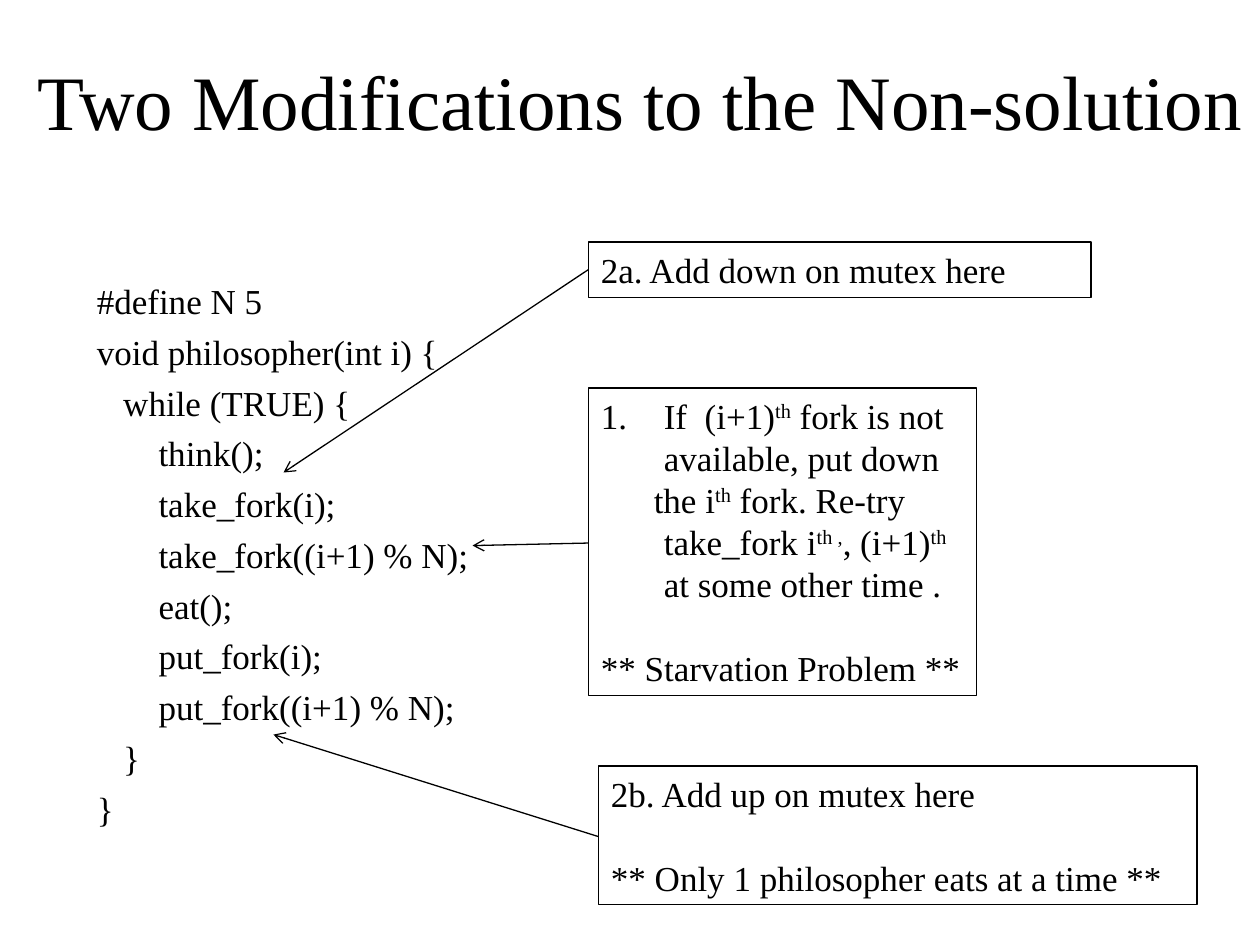
from lxml.etree import SubElement
from pptx import Presentation
from pptx.dml.color import RGBColor
from pptx.enum.shapes import MSO_CONNECTOR, MSO_SHAPE
from pptx.enum.text import MSO_ANCHOR, MSO_AUTO_SIZE, PP_ALIGN
from pptx.oxml.ns import qn
from pptx.util import Inches, Pt

COLORS = {"ink": "000000"}


class Deck:
    font = "Times New Roman"
    size = 20
    ink = RGBColor.from_string(COLORS["ink"])

    def __init__(self, slide):
        self.slide = slide

    def para(self, frame, runs, first, left=0, hang=0, gap=0, size=None):
        """Add one paragraph; a run is (text, raised)."""
        para = frame.paragraphs[0] if first else frame.add_paragraph()
        para.alignment = PP_ALIGN.LEFT
        para.space_before = Pt(gap)
        props = para._p.get_or_add_pPr()
        props.set("marL", str(Inches(left)))
        props.set("indent", str(Inches(hang)))
        for text, raised in runs:
            run = para.add_run()
            run.text = text
            run.font.name = self.font
            run.font.size = Pt(size or self.size)
            run.font.color.rgb = self.ink
            if raised:
                run.font._element.set("baseline", "30000")
        return para

    def text(self, x, y, w, h):
        box = self.slide.shapes.add_textbox(*map(Inches, (x, y, w, h)))
        box.text_frame.word_wrap = True
        return box.text_frame

    def title(self, words, *place):
        frame = self.text(*place)
        frame.vertical_anchor = MSO_ANCHOR.MIDDLE
        para = self.para(frame, [(words, False)], True, size=44)
        para.alignment = PP_ALIGN.CENTER

    def code(self, lines, *place):
        frame = self.text(*place)
        for i, (left, words) in enumerate(lines):
            self.para(frame, [(words, False)], i == 0, left=left, gap=5)

    def note(self, x, y, w, h, paras):
        """Add a framed note; each paragraph is (runs, hang, gap, numbered)."""
        box = self.slide.shapes.add_shape(
            MSO_SHAPE.RECTANGLE, *map(Inches, (x, y, w, h)))
        box.shadow.inherit = False
        box.fill.background()
        box.line.color.rgb = self.ink
        box.line.width = Pt(0.75)
        frame = box.text_frame
        frame.word_wrap = True
        frame.auto_size = MSO_AUTO_SIZE.SHAPE_TO_FIT_TEXT
        frame.vertical_anchor = MSO_ANCHOR.TOP
        for i, (runs, hang, gap, numbered) in enumerate(paras):
            para = self.para(frame, runs, i == 0, 0.5, hang, gap)
            if numbered:
                SubElement(para._p.pPr, qn("a:buAutoNum"), type="arabicPeriod")

    def arrow(self, x1, y1, x2, y2):
        line = self.slide.shapes.add_connector(
            MSO_CONNECTOR.STRAIGHT, *map(Inches, (x1, y1, x2, y2)))
        line.line.color.rgb = self.ink
        line.line.width = Pt(0.75)
        SubElement(line.line._get_or_add_ln(), qn("a:tailEnd"), type="arrow")
        SubElement(line._element.spPr, qn("a:effectLst"))


def main():
    prs = Presentation()
    prs.slide_width, prs.slide_height = Inches(10), Inches(7.5)
    deck = Deck(prs.slides.add_slide(prs.slide_layouts[6]))

    # Title and code
    deck.title("Two Modifications to the Non-solution", 0.17, 0.25, 9.83, 1.08)
    loop, body = 0.21, 0.49
    calls = ["think();", "take_fork(i);", "take_fork((i+1) % N);", "eat();",
             "put_fork(i);", "put_fork((i+1) % N);"]
    deck.code([(0, "#define N 5"), (0, "void philosopher(int i) {"),
               (loop, "while (TRUE) {"),
               *[(body, call) for call in calls],
               (loop, "}"), (0, "}")], 0.67, 2.17, 9, 4.5)

    # First change: put the fork back
    th, skip = ("th", True), 24
    deck.note(4.67, 3.08, 3.08, 2.44, [
        ([("If  (i+1)", False), th,
          (" fork is not available, put down", False)], -0.5, 0, True),
        ([("the i", False), th, (" fork. Re-try take_fork i", False),
          ("th ,", True), (", (i+1)", False), th,
          (" at some other time .", False)], -0.08, 0, False),
        ([("** Starvation Problem **", False)], -0.5, skip, False)])
    deck.arrow(4.67, 4.31, 3.75, 4.33)

    # Second change: guard with a mutex
    deck.note(4.67, 1.92, 3.99, 0.44, [
        ([("2a. Add down on mutex here", False)], -0.5, 0, False)])
    deck.arrow(4.67, 2.14, 2.25, 3.75)
    deck.note(4.75, 6.08, 4.75, 1.1, [
        ([("2b. Add up on mutex here", False)], -0.5, 0, False),
        ([("** Only 1 philosopher eats at a time **", False)],
         -0.5, skip, False)])
    deck.arrow(4.75, 6.64, 2.17, 5.83)

    prs.save("out.pptx")


if __name__ == "__main__":
    main()
